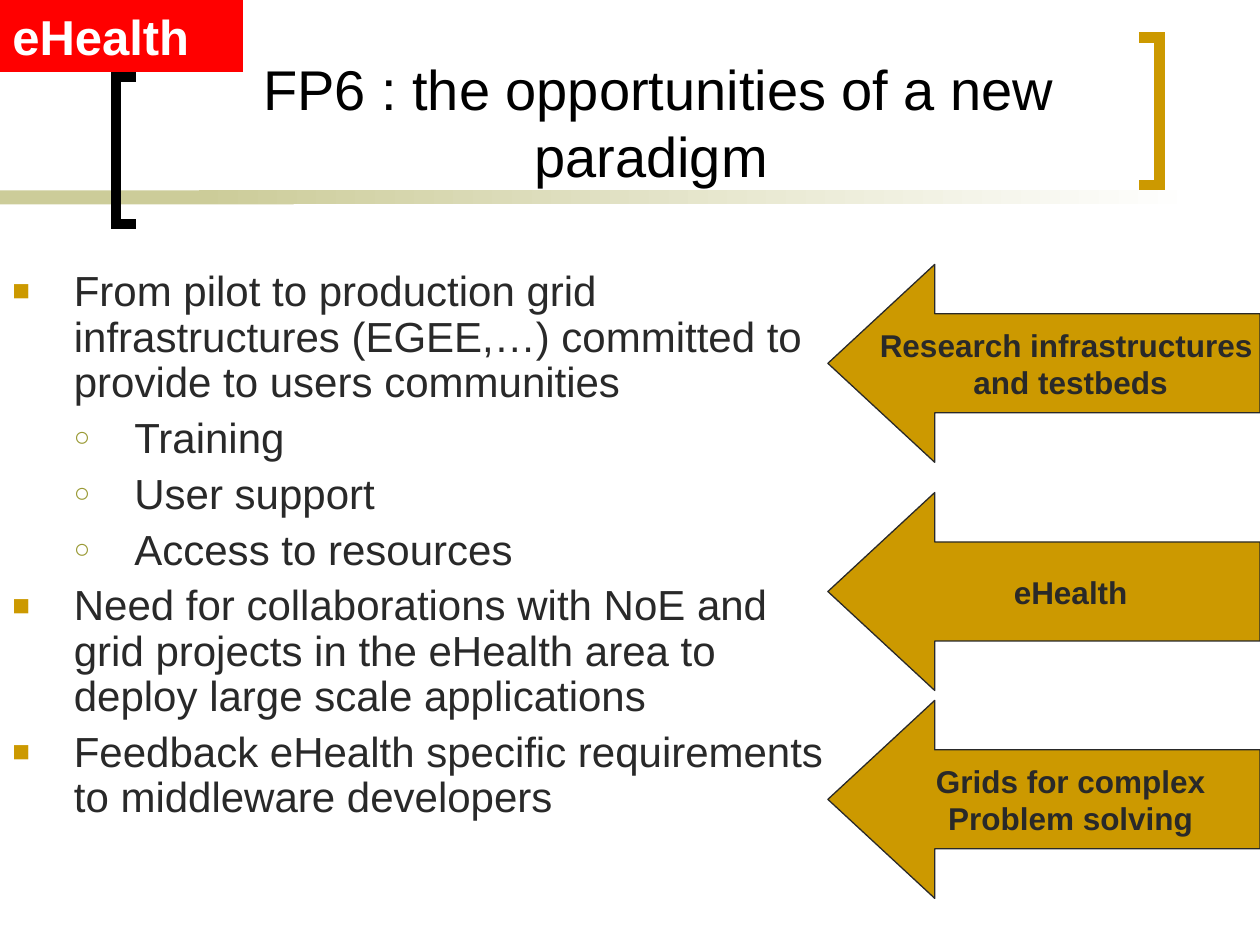
from lxml.etree import SubElement
from pptx import Presentation
from pptx.dml.color import RGBColor
from pptx.enum.shapes import MSO_SHAPE
from pptx.enum.text import MSO_ANCHOR, PP_ALIGN
from pptx.oxml.ns import qn
from pptx.util import Cm, Pt

BLACK = RGBColor(0x00, 0x00, 0x00)
WHITE = RGBColor(0xFF, 0xFF, 0xFF)
RED = RGBColor(0xFF, 0x00, 0x00)
GOLD = RGBColor(0xCC, 0x99, 0x00)
OLIVE = RGBColor(0x99, 0x99, 0x33)
SAND = RGBColor(0xCC, 0xCC, 0x99)
CHARCOAL = RGBColor(0x29, 0x29, 0x29)

TITLE = "FP6 : the opportunities of a new paradigm "
TAG = "eHealth"
POINTS = [
    (0, "From pilot to production grid infrastructures (EGEE,…) committed to provide to users communities"),
    (1, "Training"),
    (1, "User support"),
    (1, "Access to resources"),
    (0, "Need for collaborations with NoE and grid projects in the eHealth area to deploy large scale applications"),
    (0, "Feedback eHealth specific requirements to middleware developers"),
]
BULLETS = [
    {"char": "■", "color": GOLD, "percent": 70, "margin": 1.24, "hanging": 1.24},
    {"char": "○", "color": OLIVE, "percent": 65, "margin": 2.46, "hanging": 1.22},
]
ARROWS = [
    (5.33, ["Research infrastructures ", "and testbeds"]),
    (9.93, ["eHealth"]),
    (14.12, ["Grids for complex", "Problem solving"]),
]
BRACKETS = [
    (2.74, 2.34, 1.55, BLACK),
    (22.96, 23.37, 0.76, GOLD),
]
BRACKET_HEIGHT = 2.97


def add_block(page, kind, left, top, width, height):
    block = page.shapes.add_shape(kind, Cm(left), Cm(top), Cm(width), Cm(height))
    block.shadow.inherit = False
    block.line.fill.background()
    return block


def fill_solid(block, color):
    block.fill.solid()
    block.fill.fore_color.rgb = color


def add_text_box(page, left, top, width, height, anchor):
    box = page.shapes.add_textbox(Cm(left), Cm(top), Cm(width), Cm(height))
    box.text_frame.word_wrap = True
    box.text_frame.vertical_anchor = anchor
    return box.text_frame


def write_lines(frame, lines, size, color, align, bold=False):
    for index, line in enumerate(lines):
        para = frame.add_paragraph() if index else frame.paragraphs[0]
        para.text = line
        para.alignment = align
        para.font.name = "Arial"
        para.font.size = Pt(size)
        para.font.bold = bold
        para.font.color.rgb = color


def add_bullet(para, bullet):
    properties = para._p.get_or_add_pPr()
    properties.set("marL", str(Cm(bullet["margin"])))
    properties.set("indent", str(-Cm(bullet["hanging"])))
    color = SubElement(properties, qn("a:buClr"))
    SubElement(color, qn("a:srgbClr"), val=str(bullet["color"]))
    SubElement(properties, qn("a:buSzPct"), val=str(bullet["percent"] * 1000))
    SubElement(properties, qn("a:buFont"), typeface="Arial")
    SubElement(properties, qn("a:buChar"), char=bullet["char"])


def add_bands(page):
    fill_solid(add_block(page, MSO_SHAPE.RECTANGLE, 0, 3.84, 5.92, 0.28), SAND)
    fading = add_block(page, MSO_SHAPE.RECTANGLE, 4.01, 3.84, 20.12, 0.28)
    fading.fill.gradient()
    fading.fill.gradient_angle = 0
    for stop, color in zip(fading.fill.gradient_stops, (SAND, WHITE)):
        stop.color.rgb = color


def add_bracket(page, tip, spine, top, color):
    bottom = top + BRACKET_HEIGHT
    builder = page.shapes.build_freeform(Cm(tip), Cm(top))
    corners = [(spine, top), (spine, bottom), (tip, bottom)]
    builder.add_line_segments([(Cm(x), Cm(y)) for x, y in corners], close=False)
    bracket = builder.convert_to_shape()
    bracket.shadow.inherit = False
    bracket.fill.background()
    bracket.line.color.rgb = color
    bracket.line.width = Pt(6)
    SubElement(bracket.line._get_or_add_ln(), qn("a:miter"), lim="800000")


def add_points(page):
    frame = add_text_box(page, 0, 5.33, 17.27, 11.43, MSO_ANCHOR.TOP)
    for index, (level, text) in enumerate(POINTS):
        para = frame.add_paragraph() if index else frame.paragraphs[0]
        para.text = text
        para.level = level
        add_bullet(para, BULLETS[level])
        para.line_spacing = 0.9
        para.space_before = Pt(6 if index else 0)
        para.font.name = "Arial"
        para.font.size = Pt(24)
        para.font.color.rgb = CHARCOAL


def add_arrow(page, top, lines):
    arrow = add_block(page, MSO_SHAPE.LEFT_ARROW, 16.69, top, 8.71, 3.99)
    arrow.adjustments[0] = 0.5
    arrow.adjustments[1] = 0.54
    fill_solid(arrow, GOLD)
    arrow.line.color.rgb = CHARCOAL
    arrow.line.width = Pt(0.75)
    arrow.text_frame.word_wrap = False
    arrow.text_frame.vertical_anchor = MSO_ANCHOR.MIDDLE
    write_lines(arrow.text_frame, lines, 18, CHARCOAL, PP_ALIGN.CENTER, bold=True)


def main():
    deck = Presentation()
    deck.slide_width, deck.slide_height = Cm(25.4), Cm(19.05)
    page = deck.slides.add_slide(deck.slide_layouts[6])

    add_bands(page)
    for bracket in BRACKETS:
        add_bracket(page, *bracket)
    title = add_text_box(page, 3.1, 0, 20.37, 3.94, MSO_ANCHOR.BOTTOM)
    write_lines(title, [TITLE], 32, BLACK, PP_ALIGN.CENTER)
    add_points(page)
    for top, lines in ARROWS:
        add_arrow(page, top, lines)
    tag = add_block(page, MSO_SHAPE.RECTANGLE, 0, 0, 4.9, 1.45)
    fill_solid(tag, RED)
    tag.text_frame.vertical_anchor = MSO_ANCHOR.TOP
    write_lines(tag.text_frame, [TAG], 28, WHITE, PP_ALIGN.LEFT, bold=True)

    deck.save("out.pptx")


if __name__ == "__main__":
    main()
